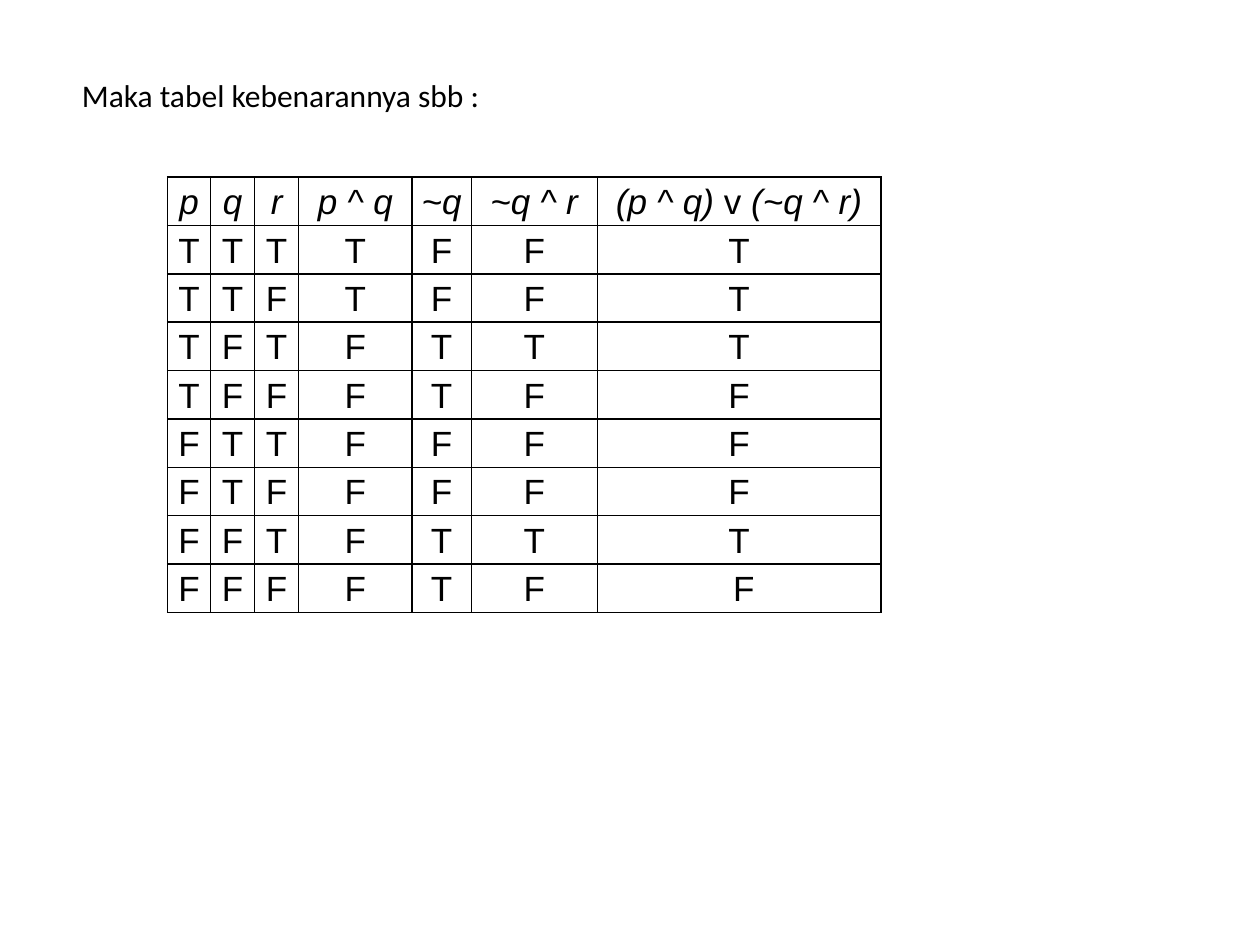
from itertools import product

from lxml import etree
from pptx import Presentation
from pptx.dml.color import RGBColor
from pptx.enum.text import MSO_ANCHOR, MSO_AUTO_SIZE, PP_ALIGN
from pptx.oxml.ns import qn
from pptx.util import Pt

BLACK = RGBColor(0x00, 0x00, 0x00)
LEFT, CENTER = PP_ALIGN.LEFT, PP_ALIGN.CENTER
TOP = MSO_ANCHOR.TOP
FIT_SHAPE = MSO_AUTO_SIZE.SHAPE_TO_FIT_TEXT
TITLE_ONLY = 5

COLUMN_WIDTHS = (24.5, 25.2, 25.2, 64.8, 33.8, 72, 162)
ROW_HEIGHT = 27.6
HEADINGS = [[(name, True)] for name in ("p", "q", "r", "p ^ q", "~q", "~q ^ r")]
HEADINGS.append([("(p ^ q) ", True), ("v", False), (" (~q ^ r)", True)])


def add_text(paragraph, text, *, font, size, italic=False, color=BLACK):
    run = paragraph.add_run()
    run.text = text
    run.font.name = font
    run.font.size = Pt(size)
    run.font.italic = italic
    run.font.color.rgb = color


def truth_rows():
    rows = []
    for p, q, r in product((True, False), repeat=3):
        values = (p, q, r, p and q, not q, not q and r, (p and q) or (not q and r))
        rows.append([[("T" if value else "F", False)] for value in values])
    rows[-1][-1] = [(" F", False)]
    return rows


class TruthTableSlide:
    """Holds the text style and the slide, and adds its title and table."""

    title_style = {"font": "Calibri", "size": 18}
    cell_style = {"font": "Arial", "size": 20}
    border_width = 1
    side_inset = 5
    line_spacing = 1.15

    def __init__(self, deck):
        self.slide = deck.slides.add_slide(deck.slide_layouts[TITLE_ONLY])

    def title(self, text, left, top, width, height):
        heading = self.slide.shapes.title
        heading.left, heading.top = Pt(left), Pt(top)
        heading.width, heading.height = Pt(width), Pt(height)
        frame = heading.text_frame
        frame.word_wrap = True
        frame.auto_size = FIT_SHAPE
        frame.vertical_anchor = TOP
        frame.paragraphs[0].alignment = LEFT
        add_text(frame.paragraphs[0], text, **self.title_style)

    def table(self, rows, left, top):
        table = self.slide.shapes.add_table(
            len(rows), len(COLUMN_WIDTHS), Pt(left), Pt(top),
            Pt(sum(COLUMN_WIDTHS)), Pt(ROW_HEIGHT * len(rows)),
        ).table
        table.first_row = table.horz_banding = False
        for column, width in zip(table.columns, COLUMN_WIDTHS):
            column.width = Pt(width)
        for row, contents in zip(table.rows, rows):
            row.height = Pt(ROW_HEIGHT)
            for cell, pieces in zip(row.cells, contents):
                self.cell(cell, pieces)

    def cell(self, cell, pieces):
        self.borders(cell)
        cell.fill.background()
        cell.margin_left = cell.margin_right = Pt(self.side_inset)
        cell.margin_top = cell.margin_bottom = Pt(0)
        cell.vertical_anchor = TOP
        paragraph = cell.text_frame.paragraphs[0]
        paragraph.alignment = CENTER
        paragraph.line_spacing = self.line_spacing
        for text, italic in pieces:
            add_text(paragraph, text, italic=italic, **self.cell_style)

    def borders(self, cell):
        properties = cell._tc.get_or_add_tcPr()
        for side in ("a:lnL", "a:lnR", "a:lnT", "a:lnB"):
            line = etree.SubElement(properties, qn(side), w=str(Pt(self.border_width)))
            fill = etree.SubElement(line, qn("a:solidFill"))
            etree.SubElement(fill, qn("a:srgbClr"), val=str(BLACK))


def main():
    deck = Presentation()
    deck.slide_width, deck.slide_height = Pt(720), Pt(540)
    page = TruthTableSlide(deck)
    page.title("Maka tabel kebenarannya sbb :", 39.6, 39.6, 624, 29)
    page.table([HEADINGS] + truth_rows(), 95.8, 101.2)
    deck.save("out.pptx")


if __name__ == "__main__":
    main()
